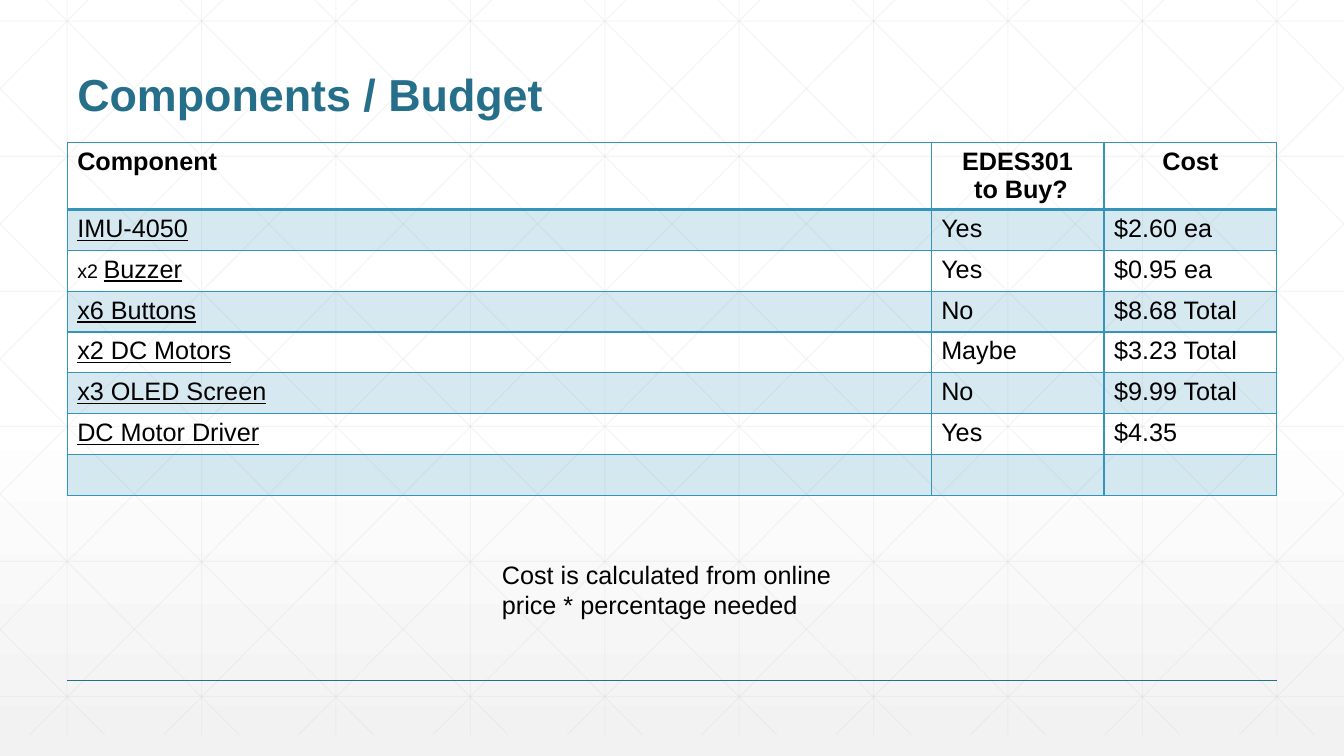
from lxml.etree import SubElement
from pptx import Presentation
from pptx.dml.color import RGBColor
from pptx.enum.shapes import MSO_CONNECTOR
from pptx.enum.text import MSO_ANCHOR, MSO_AUTO_SIZE, PP_ALIGN
from pptx.oxml import parse_xml
from pptx.oxml.ns import nsdecls, qn
from pptx.util import Inches, Pt

COLORS = {name: RGBColor.from_string(value) for name, value in {
    "title": "266F8B", "accent": "3494BA", "grid": "D8D8D8",
    "text": "000000", "white": "FFFFFF", "shade": "F2F2F2"}.items()}
WIDTH, HEIGHT = 13.33, 7.5
STEP = WIDTH / 10
MARGIN = STEP / 2
CONTENT = WIDTH - 2 * MARGIN
GRID_TOP, GRID_BOTTOM = -0.21, 7.29

deck = Presentation()
deck.slide_width, deck.slide_height = Inches(WIDTH), Inches(HEIGHT)
page = deck.slides.add_slide(deck.slide_layouts[5])


def add_line(start, end, color, weight, opacity=100):
    line = page.shapes.add_connector(
        MSO_CONNECTOR.STRAIGHT, *(Inches(length) for length in (*start, *end)))
    line.line.color.rgb = COLORS[color]
    line.line.width = Pt(weight)
    if opacity < 100:
        set_opacity(line.line.fill, opacity)
    SubElement(line._element.spPr, qn("a:effectLst"))


def set_opacity(fill, percent):
    tint = fill._xPr.find(f"{qn('a:solidFill')}/{qn('a:srgbClr')}")
    SubElement(tint, qn("a:alpha")).set("val", str(percent * 1000))


# Background
background = page.background.fill
background.gradient()
background.gradient_angle = 270
for stop, position, color in zip(background.gradient_stops, (0.53, 1), ("white", "shade")):
    stop.position = position
    stop.color.rgb = COLORS[color]

# Faint grid: verticals, horizontals, then diagonals and their mirror images
grid = []
for column in range(10):
    x = MARGIN + column * STEP
    grid.append(((x, GRID_TOP), (x, GRID_BOTTOM)))
for row in range(6):
    y = 0.21 + row * 1.34
    grid.append(((0, y), (WIDTH, y)))
slope = 1.006
run = (GRID_BOTTOM - GRID_TOP) / slope
for index in range(-5, 10):
    origin = 0.25 + index * STEP
    left, right = max(0, origin), min(WIDTH, origin + run)
    top, bottom = (GRID_TOP + (x - origin) * slope for x in (left, right))
    grid.append(((left, top), (right, bottom)))
    grid.append(((WIDTH - left, top), (WIDTH - right, bottom)))
for start, end in grid:
    add_line(start, end, "grid", 0.75, 25)
add_line((MARGIN, 6.75), (WIDTH - MARGIN, 6.75), "title", 1)

# Title, in front of the grid
title = page.shapes.title
title.left, title.top = Inches(MARGIN), Inches(0.25)
title.width, title.height = Inches(CONTENT), Inches(1)
title.text_frame.text = "Components / Budget"
title.text_frame.vertical_anchor = MSO_ANCHOR.BOTTOM
title.text_frame.auto_size = MSO_AUTO_SIZE.NONE
para = title.text_frame.paragraphs[0]
para.alignment = PP_ALIGN.LEFT
para.line_spacing = 0.9
para.font.name, para.font.size, para.font.bold = "Arial", Pt(32), True
para.font.color.rgb = COLORS["title"]
page.shapes._spTree.append(title._element)

# Budget table
rows = [
    ("Component", "EDES301\n to Buy?", "Cost"),
    ("IMU-4050", "Yes", "$2.60 ea"),
    ("Buzzer", "Yes", "$0.95 ea"),
    ("x6 Buttons", "No", "$8.68 Total"),
    ("x2 DC Motors", "Maybe", "$3.23 Total"),
    ("x3 OLED Screen", "No", "$9.99 Total"),
    ("DC Motor Driver", "Yes", "$4.35"),
    ("", "", ""),
]
HEADER_HEIGHT, ROW_HEIGHT = 0.67, 0.405
table = page.shapes.add_table(
    len(rows), 3, Inches(MARGIN), Inches(1.41), Inches(CONTENT),
    Inches(HEADER_HEIGHT + ROW_HEIGHT * (len(rows) - 1))).table
table.first_row = table.horz_banding = False
for column, share in zip(table.columns, (5, 1, 1)):
    column.width = Inches(CONTENT * share / 7)

for row_index, values in enumerate(rows):
    header = row_index == 0
    table.rows[row_index].height = Inches(HEADER_HEIGHT if header else ROW_HEIGHT)
    for column_index, value in enumerate(values):
        cell = table.cell(row_index, column_index)
        cell.text = value
        for side in "LRTB":
            thick = (side == "B" and header) or (side == "T" and row_index == 1)
            cell._tc.get_or_add_tcPr().append(parse_xml(
                f'<a:ln{side} {nsdecls("a")} w="{Pt(2 if thick else 1)}"><a:solidFill>'
                f'<a:srgbClr val="{COLORS["accent"]}"/></a:solidFill></a:ln{side}>'))
        if row_index % 2:
            cell.fill.solid()
            cell.fill.fore_color.rgb = COLORS["accent"]
            set_opacity(cell.fill, 20)
        else:
            cell.fill.background()
        for para in cell.text_frame.paragraphs:
            para.font.name, para.font.size = "Arial", Pt(18)
            para.font.bold = header
            para.font.color.rgb = COLORS["text"]
            if header and column_index:
                para.alignment = PP_ALIGN.CENTER
            if not header and column_index == 0:
                para.font.underline = True

# The buzzer count is smaller and not underlined
para = table.cell(2, 0).text_frame.paragraphs[0]
para.font.underline = False
para.runs[0].text = "x2 "
para.runs[0].font.size = Pt(14)
span = para.add_run()
span.text = "Buzzer"
span.font.underline = True

# Note on cost
box = page.shapes.add_textbox(Inches(4.88), Inches(5.5), Inches(3.6), Inches(1.01))
box.text_frame.word_wrap = True
para = box.text_frame.paragraphs[0]
para.text = "Cost is calculated from online price * percentage needed"
para.font.name, para.font.size = "Arial", Pt(18)
para.font.color.rgb = COLORS["text"]

deck.save("out.pptx")
